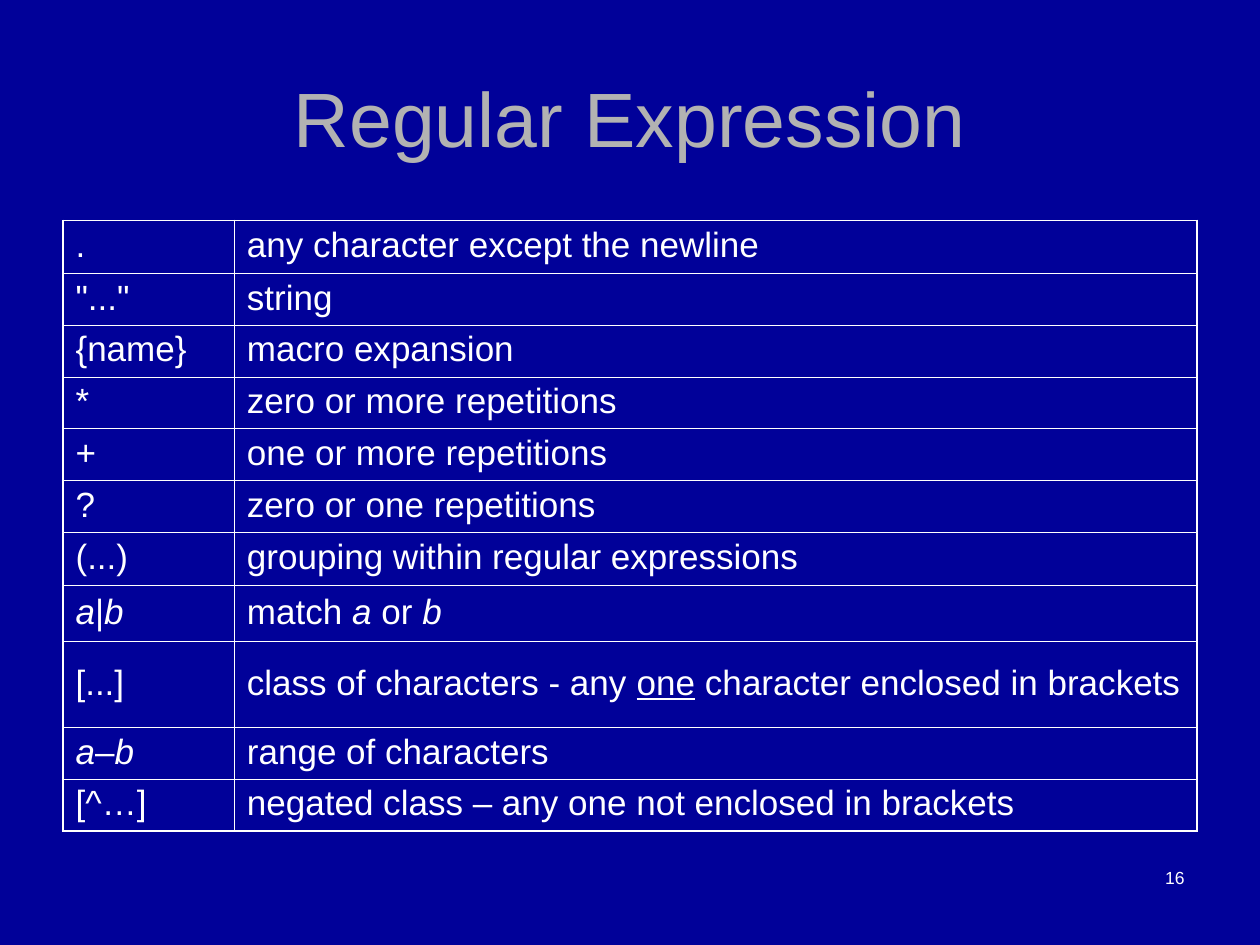
from dataclasses import dataclass

from lxml.etree import SubElement
from pptx import Presentation
from pptx.dml.color import RGBColor
from pptx.enum.text import MSO_ANCHOR, PP_ALIGN
from pptx.oxml.ns import qn
from pptx.util import Inches, Pt


@dataclass(frozen=True)
class Theme:
    """Colours, font and type sizes of the slide."""
    back: str = "010199"
    text: str = "FFFFFF"
    head: str = "B2B2B2"
    font: str = "Arial"
    head_size: int = 44
    cell_size: int = 20
    page_size: int = 10
    thick: float = 1.08
    thin: float = 0.45


class Deck:
    """Holds the theme and the current slide."""

    def __init__(self, theme):
        """Start a deck with one blank slide."""
        self.theme = theme
        self.show = Presentation()
        self.show.slide_width, self.show.slide_height = Inches(10), Inches(7.5)
        self.slide = self.show.slides.add_slide(self.show.slide_layouts[6])
        fill = self.slide.background.fill
        fill.solid()
        fill.fore_color.rgb = RGBColor.from_string(theme.back)

    def style(self, para, size, color):
        """Format every run of a paragraph."""
        for run in para.runs:
            run.font.name = self.theme.font
            run.font.size = Pt(size)
            run.font.color.rgb = RGBColor.from_string(color)

    def label(self, text, box, size, color, align, anchor):
        """Add a line of text in a box."""
        frame = self.slide.shapes.add_textbox(*map(Inches, box)).text_frame
        frame.word_wrap = True
        frame.vertical_anchor = anchor
        para = frame.paragraphs[0]
        para.text = text
        para.alignment = align
        self.style(para, size, color)

    def edge(self, cell, side, width):
        """Draw one border of a cell."""
        line = SubElement(cell._tc.get_or_add_tcPr(), qn(f"a:ln{side}"),
                          w=str(Pt(width)))
        fill = SubElement(line, qn("a:solidFill"))
        SubElement(fill, qn("a:srgbClr"), val=self.theme.text)

    def cell(self, cell, parts, outer):
        """Fill a cell with runs and draw its borders."""
        cell.vertical_anchor = MSO_ANCHOR.MIDDLE
        cell.margin_left = Inches(0.1)
        cell.margin_right = Inches(0.05)
        cell.margin_top = cell.margin_bottom = Inches(0.05)
        para = cell.text_frame.paragraphs[0]
        para.space_before = Pt(5)
        para.line_spacing = 0.93
        for text, mark in parts:
            run = para.add_run()
            run.text = text
            run.font.italic = mark == "i"
            run.font.underline = mark == "u"
        self.style(para, self.theme.cell_size, self.theme.text)
        for side in "LRTB":
            self.edge(cell, side,
                      self.theme.thick if side in outer else self.theme.thin)
        cell.fill.background()

    def table(self, rows, box, widths, heights):
        """Add a ruled table with a heavier outer frame."""
        grid = self.slide.shapes.add_table(
            len(rows), len(widths), *map(Inches, box)).table
        grid.first_row = grid.horz_banding = False
        for col, width in zip(grid.columns, widths):
            col.width = Inches(width)
        for row, height in zip(grid.rows, heights):
            row.height = Inches(height)
        for r, row in enumerate(rows):
            for c, item in enumerate(row):
                outer = "".join(side for side, on in (
                    ("L", c == 0), ("R", c == len(widths) - 1),
                    ("T", r == 0), ("B", r == len(rows) - 1)) if on)
                parts = [(item, "")] if isinstance(item, str) else item
                self.cell(grid.cell(r, c), parts, outer)


A, B = ("a", "i"), ("b", "i")
RULES = [
    (".", "any character except the newline"),
    ('"..."', "string"),
    ("{name}", "macro expansion"),
    ("*", "zero or more repetitions"),
    ("+", "one or more repetitions"),
    ("?", "zero or one repetitions"),
    ("(...)", "grouping within regular expressions"),
    ([A, ("|", ""), B], [("match ", ""), A, (" or ", ""), B]),
    ("[...]", [("class of characters - any ", ""), ("one", "u"),
               (" character enclosed in brackets", "")]),
    ([A, ("–", ""), B], "range of characters"),
    ("[^…]", "negated class – any one not enclosed in brackets"),
]
HEIGHTS = [0.42, 0.34, 0.36, 0.39, 0.36, 0.37, 0.42, 0.45, 0.68, 0.4, 0.4]


def main():
    """Build the slide and save it."""
    theme = Theme()
    deck = Deck(theme)
    deck.label("16", (7.17, 6.83, 2.33, 0.5), theme.page_size, theme.text,
               PP_ALIGN.RIGHT, MSO_ANCHOR.TOP)
    deck.label("Regular Expression", (0.5, 0.3, 9, 1.25), theme.head_size,
               theme.head, PP_ALIGN.CENTER, MSO_ANCHOR.MIDDLE)
    deck.table(RULES, (0.5, 1.75, 9, sum(HEIGHTS)), (1.36, 7.64), HEIGHTS)
    deck.show.save("out.pptx")


main()
